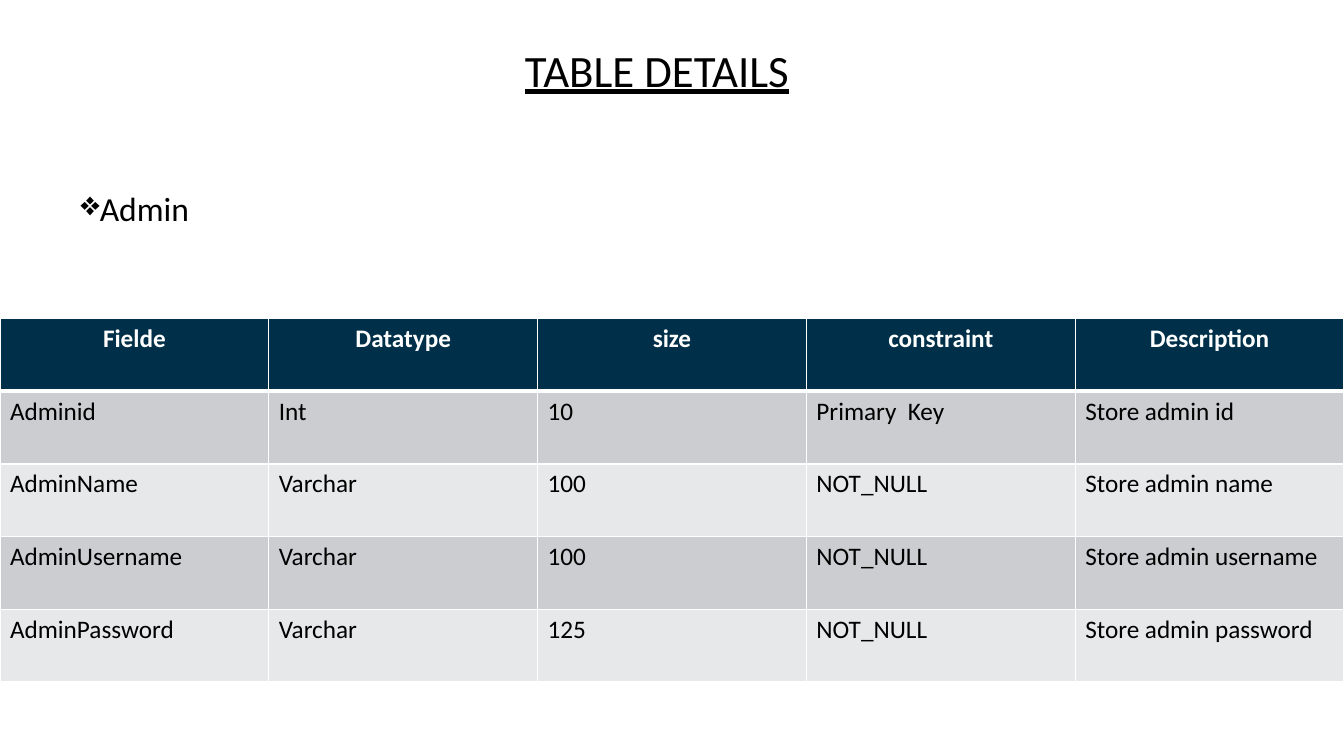
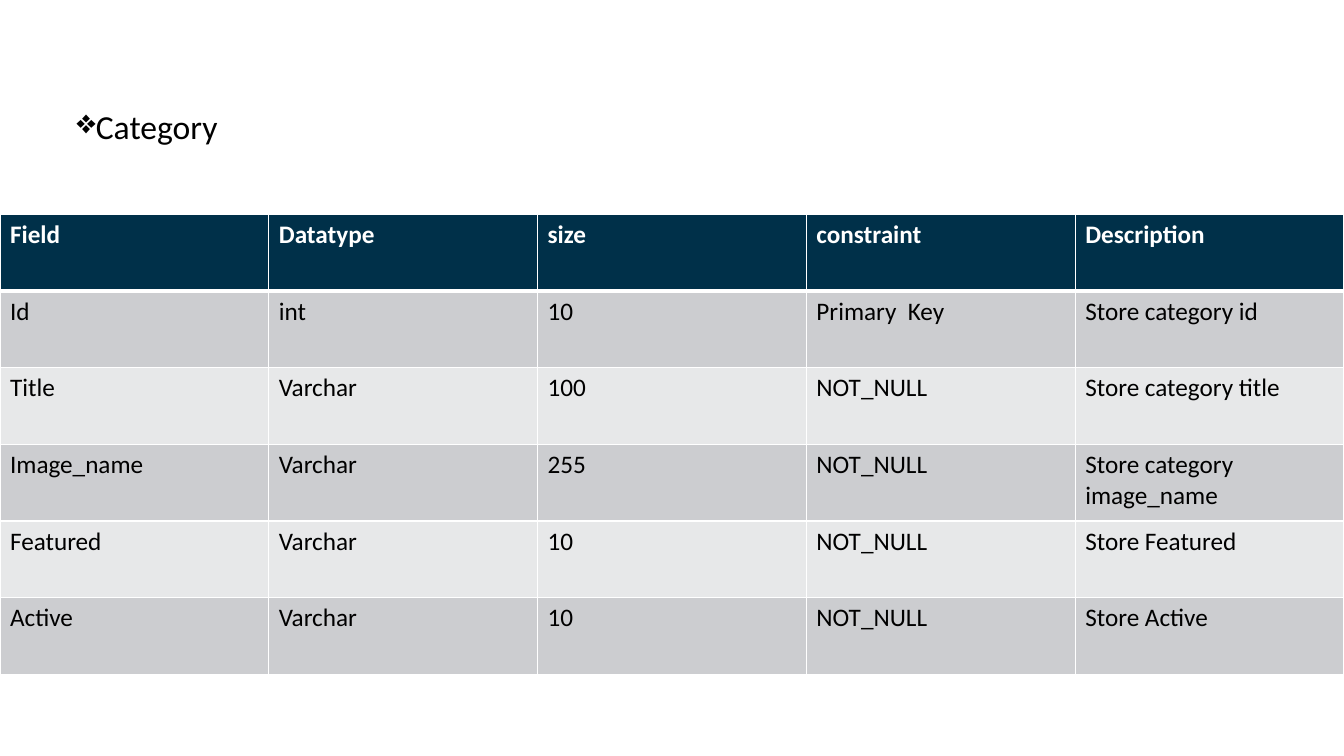
from dataclasses import dataclass
from typing import Optional

from lxml.etree import SubElement
from pptx import Presentation
from pptx.dml.color import RGBColor
from pptx.enum.text import MSO_AUTO_SIZE as AutoSize, PP_ALIGN as Align
from pptx.oxml.ns import qn
from pptx.util import Cm, Pt

FONT = "Calibri"
BLACK, WHITE, NAVY = "000000", "FFFFFF", "003049"
BANDS = ("CCCDD0", "E7E8E9")
SLIDE_WIDTH, SLIDE_HEIGHT = 33.87, 19.05
BULLET = "❖"


@dataclass(frozen=True)
class Box:
    left: float
    top: float
    width: float
    height: float


@dataclass(frozen=True)
class TableSlide:
    heading: str
    heading_box: Box
    table_top: float
    row_height: float
    header_align: Align
    rows: tuple[tuple[str, ...], ...]
    title: Optional[str] = None


TITLE_BOX = Box(12.98, 0.94, 8.15, 2.39)

SLIDES = (
    TableSlide(
        title="TABLE DETAILS",
        heading="Admin",
        heading_box=Box(1.78, 4.6, 3.56, 1.27),
        table_top=8.03,
        row_height=1.83,
        header_align=Align.CENTER,
        rows=(
            ("Fielde", "Datatype", "size", "constraint", "Description"),
            ("Adminid", "Int", "10", "Primary  Key", "Store admin id"),
            ("AdminName", "Varchar", "100", "NOT_NULL", "Store admin name"),
            ("AdminUsername", "Varchar", "100", "NOT_NULL", "Store admin username"),
            ("AdminPassword", "Varchar", "125", "NOT_NULL", "Store admin password"),
        ),
    ),
    TableSlide(
        heading="Category",
        heading_box=Box(1.68, 2.54, 4.37, 1.27),
        table_top=5.41,
        row_height=1.93,
        header_align=Align.LEFT,
        rows=(
            ("Field", "Datatype", "size", "constraint", "Description"),
            ("Id", "int", "10", "Primary  Key", "Store category id"),
            ("Title", "Varchar", "100", "NOT_NULL", "Store category title"),
            ("Image_name", "Varchar", "255", "NOT_NULL", "Store category image_name"),
            ("Featured", "Varchar", "10", "NOT_NULL", "Store Featured"),
            ("Active", "Varchar", "10", "NOT_NULL", "Store Active"),
        ),
    ),
)


def color(value: str) -> RGBColor:
    return RGBColor.from_string(value)


def write_text(text_frame, text: str, *, size: float, ink: str = BLACK,
               bold: bool = False, underline: bool = False,
               align: Align = Align.LEFT, bullet: Optional[str] = None) -> None:
    paragraph = text_frame.paragraphs[0]
    paragraph.alignment = align
    if bullet:
        properties = paragraph._p.get_or_add_pPr()
        properties.set("marL", "0")
        properties.set("indent", "0")
        SubElement(properties, qn("a:buChar")).set("char", bullet)
    run = paragraph.add_run()
    run.text = text
    run.font.name = FONT
    run.font.size = Pt(size)
    run.font.bold = bold
    run.font.underline = underline
    run.font.color.rgb = color(ink)


def add_text(slide, box: Box, text: str, *, wrap: bool = True, **text_format) -> None:
    shape = slide.shapes.add_textbox(Cm(box.left), Cm(box.top), Cm(box.width), Cm(box.height))
    shape.text_frame.word_wrap = wrap
    shape.text_frame.auto_size = AutoSize.SHAPE_TO_FIT_TEXT
    write_text(shape.text_frame, text, **text_format)


def set_borders(cell, *, top: float = 1, bottom: float = 1) -> None:
    properties = cell._tc.get_or_add_tcPr()
    for side, width in (("L", 1), ("R", 1), ("T", top), ("B", bottom)):
        line = SubElement(properties, qn(f"a:ln{side}"), w=str(Pt(width)))
        fill = SubElement(line, qn("a:solidFill"))
        SubElement(fill, qn("a:srgbClr"), val=WHITE)


def add_field_table(slide, content: TableSlide) -> None:
    row_count, column_count = len(content.rows), len(content.rows[0])
    table = slide.shapes.add_table(
        row_count, column_count, Cm(0), Cm(content.table_top),
        Cm(SLIDE_WIDTH), Cm(content.row_height * row_count),
    ).table
    table.horz_banding = False
    for row_index, values in enumerate(content.rows):
        table.rows[row_index].height = Cm(content.row_height)
        header = row_index == 0
        for column_index, value in enumerate(values):
            cell = table.cell(row_index, column_index)
            set_borders(cell, top=3 if row_index == 1 else 1, bottom=3 if header else 1)
            cell.fill.solid()
            cell.fill.fore_color.rgb = color(NAVY if header else BANDS[(row_index - 1) % 2])
            write_text(cell.text_frame, value, size=18, bold=header,
                       ink=WHITE if header else BLACK,
                       align=content.header_align if header else Align.LEFT)


def add_table_slide(presentation, content: TableSlide) -> None:
    slide = presentation.slides.add_slide(presentation.slide_layouts[6])
    add_field_table(slide, content)
    if content.title:
        add_text(slide, TITLE_BOX, content.title, size=32, underline=True)
    add_text(slide, content.heading_box, content.heading, wrap=False, size=24, bullet=BULLET)


def main() -> None:
    presentation = Presentation()
    presentation.slide_width = Cm(SLIDE_WIDTH)
    presentation.slide_height = Cm(SLIDE_HEIGHT)
    for content in SLIDES:
        add_table_slide(presentation, content)
    presentation.save("out.pptx")


if __name__ == "__main__":
    main()
